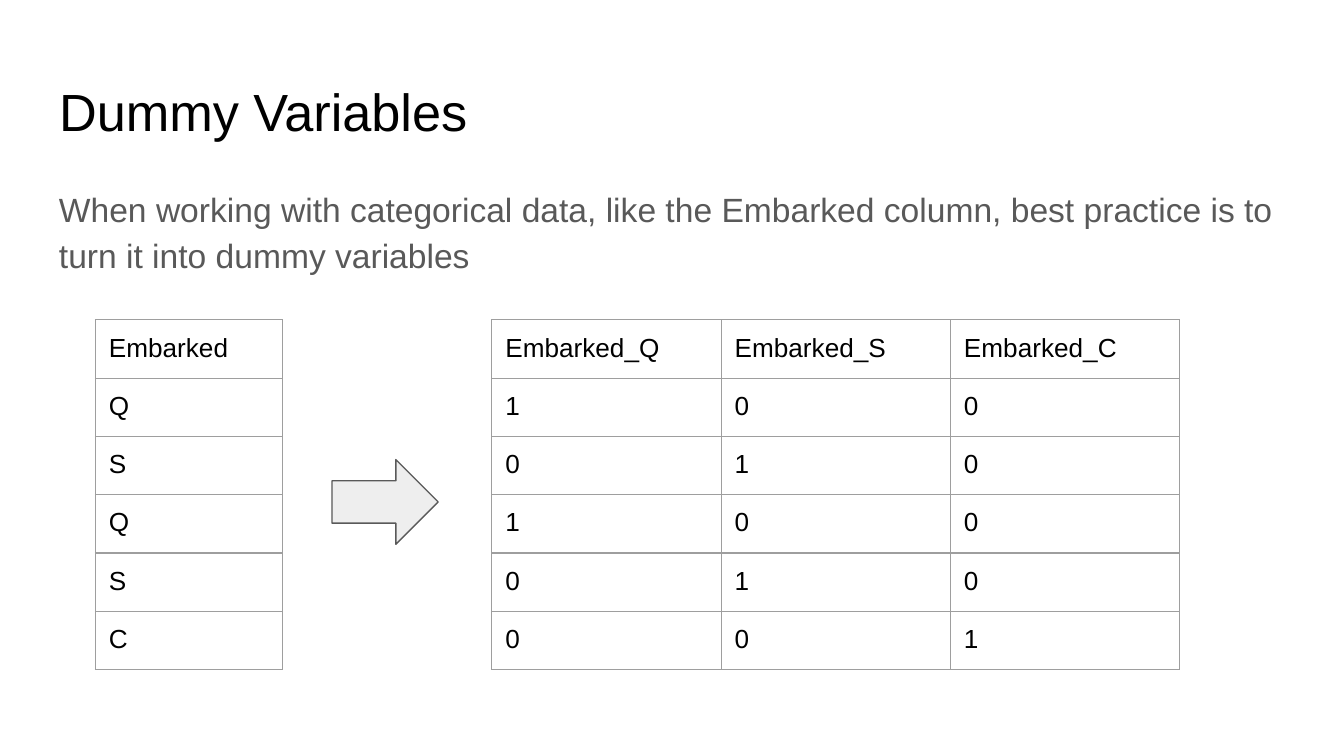
from lxml import etree
from pptx import Presentation
from pptx.dml.color import RGBColor
from pptx.enum import shapes, text
from pptx.oxml import ns
from pptx.util import Inches, Pt

BLACK = RGBColor(0x00, 0x00, 0x00)
GRAY = RGBColor(0x59, 0x59, 0x59)
PALE = RGBColor(0xEE, 0xEE, 0xEE)
RULE = RGBColor(0x9E, 0x9E, 0x9E)
FONT = "Arial"
ROW = 0.42
PORTS = "QSC"
DATA = "QSQSC"


def write(box, words, size=14, color=BLACK, space=1.0, after=0):
    """Fill a shape or a table cell with one formatted paragraph."""
    frame = box.text_frame
    frame.word_wrap = True
    # A cell keeps its own margins and anchor; a shape's are on its frame.
    area = box if hasattr(box, "margin_left") else frame
    area.vertical_anchor = text.MSO_ANCHOR.TOP
    area.margin_left = area.margin_right = Inches(0.1)
    area.margin_top = area.margin_bottom = Inches(0.1)
    para = frame.paragraphs[0]
    para.alignment = text.PP_ALIGN.LEFT
    para.line_spacing = space
    para.space_after = Pt(after)
    run = para.add_run()
    run.text = words
    run.font.name = FONT
    run.font.size = Pt(size)
    run.font.color.rgb = color


def border(cell):
    props = cell._tc.get_or_add_tcPr()
    for spot, side in enumerate(("lnL", "lnR", "lnT", "lnB")):
        line = etree.Element(ns.qn(f"a:{side}"), w=str(Pt(0.75)))
        fill = etree.SubElement(line, ns.qn("a:solidFill"))
        etree.SubElement(fill, ns.qn("a:srgbClr"), val=str(RULE))
        props.insert(spot, line)


def heading(slide, left, top, width):
    title = slide.shapes.title
    title.left, title.top = Inches(left), Inches(top)
    title.width, title.height = Inches(width), Inches(0.63)
    title.text_frame.auto_size = text.MSO_AUTO_SIZE.NONE
    write(title, "Dummy Variables", size=28)
    body = slide.shapes.add_textbox(
        Inches(left), Inches(top + 0.77), Inches(width), Inches(0.97))
    write(body,
          "When working with categorical data, like the Embarked column, "
          "best practice is to turn it into dummy variables",
          size=18, color=GRAY, space=1.15, after=16)


def grid(slide, left, top, width, rows):
    """Draw rows of text as a ruled table with columns of equal width."""
    count = len(rows[0])
    table = slide.shapes.add_table(
        len(rows), count, Inches(left), Inches(top),
        Inches(width), Inches(ROW * len(rows))).table
    table.first_row = table.horz_banding = False
    for r, row in enumerate(rows):
        for c, words in enumerate(row):
            cell = table.cell(r, c)
            cell.fill.background()
            write(cell, words)
            border(cell)


def arrow(slide, left, top, width, height):
    shape = slide.shapes.add_shape(
        shapes.MSO_SHAPE.RIGHT_ARROW, Inches(left), Inches(top),
        Inches(width), Inches(height))
    shape.shadow.inherit = False
    shape.fill.solid()
    shape.fill.fore_color.rgb = PALE
    shape.line.color.rgb = GRAY
    shape.line.width = Pt(0.75)


def coding(slide, left, top):
    """Show the column, an arrow, and the dummy columns made from it."""
    grid(slide, left, top, 1.39, [["Embarked"]] + [[port] for port in DATA])
    arrow(slide, left + 1.76, top + 1.04, 0.79, 0.63)
    dummies = [[f"Embarked_{port}" for port in PORTS]]
    dummies += [[str(int(value == port)) for port in PORTS] for value in DATA]
    grid(slide, left + 2.95, top, 5.12, dummies)


def main():
    deck = Presentation()
    deck.slide_width = Inches(10)
    deck.slide_height = deck.slide_width * 9 // 16
    slide = deck.slides.add_slide(deck.slide_layouts.get_by_name("Title Only"))
    heading(slide, 0.34, 0.49, 9.32)
    coding(slide, 0.71, 2.38)
    deck.save("out.pptx")


if __name__ == "__main__":
    main()
